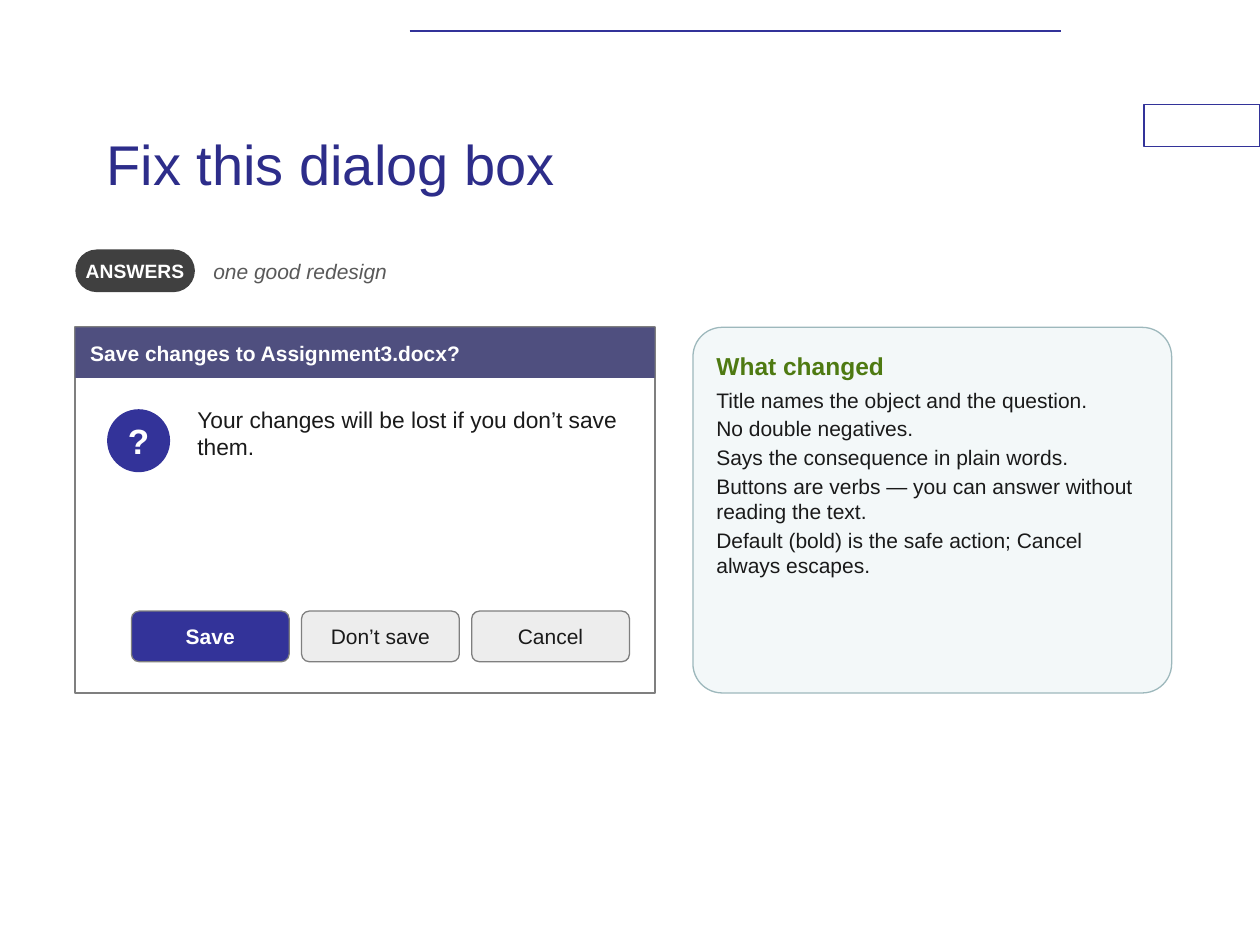
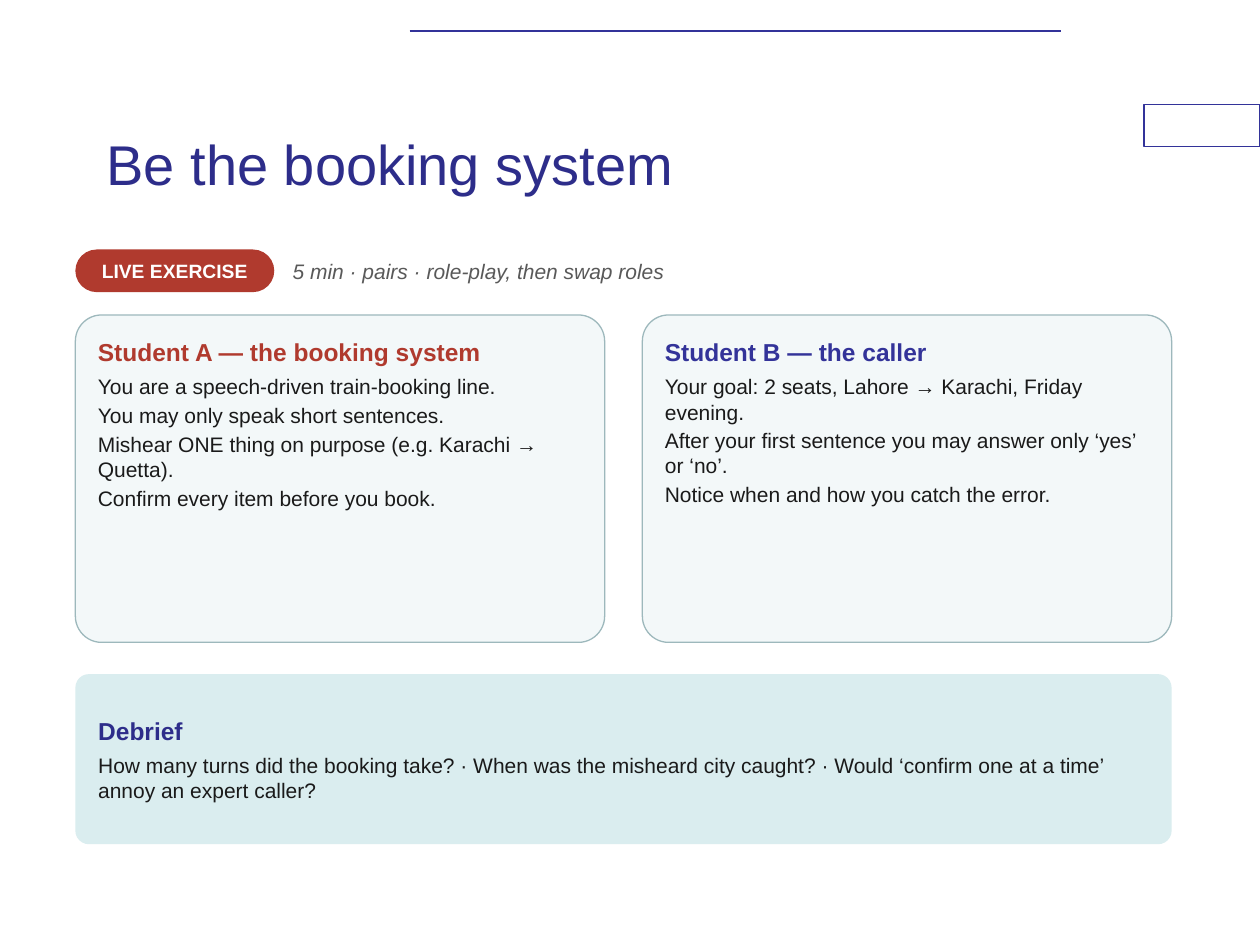
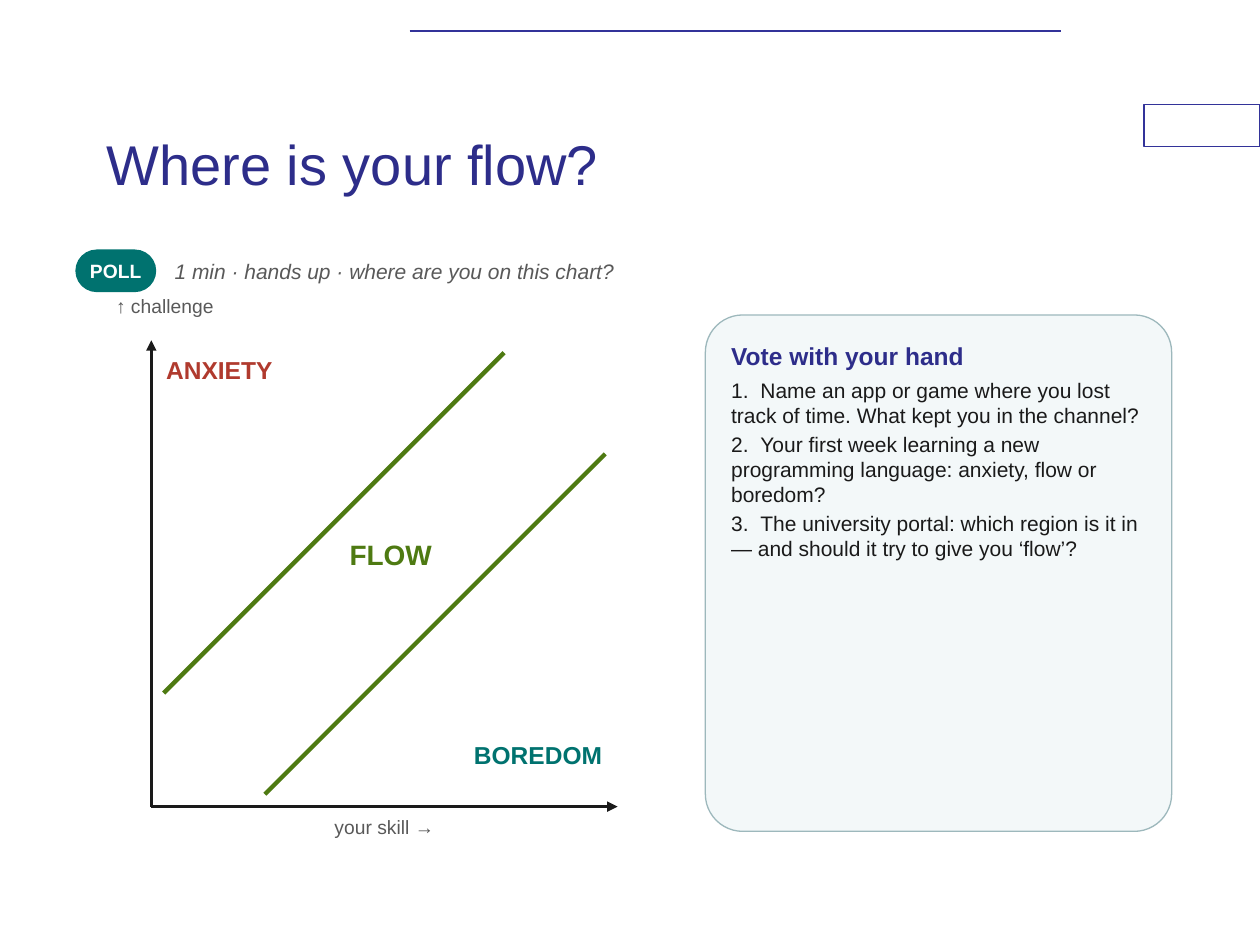
from dataclasses import dataclass

from lxml import etree
from pptx import Presentation
from pptx import util as u
from pptx.dml.color import RGBColor
from pptx.enum import shapes, text
from pptx.oxml import ns

COLORS = {
    "white": "FFFFFF", "ink": "1A1A1A", "muted": "595959", "indigo": "333399",
    "navy": "2D2D8A", "slate": "4F4F7F", "charcoal": "404040", "red": "B03A2E",
    "teal": "00726F", "green": "4E7A12", "card": "F3F8F9", "card_edge": "9DB8BC",
    "aqua": "DAEDEF", "grey": "7F7F7F", "button": "EDEDED",
}
FONT = "Arial"
STYLES = {
    "title": {"size": u.Pt(32)},
    "heading": {"size": u.Pt(14), "bold": True},
    "body": {"size": u.Pt(12)},
    "strong": {"size": u.Pt(12), "bold": True},
    "note": {"size": u.Pt(12), "italic": True},
    "tag": {"size": u.Pt(11), "bold": True},
    "axis": {"size": u.Pt(11)},
    "message": {"size": u.Pt(13)},
    "zone": {"size": u.Pt(16), "bold": True},
    "icon": {"size": u.Pt(20), "bold": True},
}
PRESET = shapes.MSO_SHAPE
LEFT, CENTER, RIGHT = text.PP_ALIGN.LEFT, text.PP_ALIGN.CENTER, text.PP_ALIGN.RIGHT
TOP, MIDDLE = text.MSO_ANCHOR.TOP, text.MSO_ANCHOR.MIDDLE
MARGIN, CONTENT_W = 1.52, 22.1
NUMBER_TAB = 0.59


@dataclass
class Box:
    """Position and size in centimetres."""
    x: float
    y: float
    w: float
    h: float

    def inner(self, dx, dy, w, h):
        return Box(self.x + dx, self.y + dy, w, h)

    def lengths(self):
        return [u.Cm(v) for v in (self.x, self.y, self.w, self.h)]


@dataclass
class Para:
    words: str
    style: str
    color: str = "ink"
    after: float = 0


def rgb(name):
    return RGBColor.from_string(COLORS[name])


# Basic parts
def write(shape, paras, align=LEFT, anchor=MIDDLE, inset=0.05):
    frame = shape.text_frame
    layout = {"word_wrap": True, "vertical_anchor": anchor}
    layout.update({f"margin_{side}": u.Cm(inset)
                   for side in ("left", "right", "top", "bottom")})
    for key, value in layout.items():
        setattr(frame, key, value)
    for i, para in enumerate(paras):
        line = frame.add_paragraph() if i else frame.paragraphs[0]
        if "\t" in para.words:
            tabs = etree.SubElement(line._p.get_or_add_pPr(), ns.qn("a:tabLst"))
            etree.SubElement(tabs, ns.qn("a:tab"), pos=str(u.Cm(NUMBER_TAB)), algn="l")
        line.alignment = align
        line.space_after = u.Pt(para.after)
        run = line.add_run()
        run.text = para.words
        for key, value in {"name": FONT, "bold": False, **STYLES[para.style]}.items():
            setattr(run.font, key, value)
        run.font.color.rgb = rgb(para.color)


def add_label(slide, box, para, **layout):
    write(slide.shapes.add_textbox(*box.lengths()), [para], **layout)


def add_block(slide, box, preset, fill, edge=None, edge_pt=0.75, corner=None):
    block = slide.shapes.add_shape(preset, *box.lengths())
    block.shadow.inherit = False
    block.fill.solid()
    block.fill.fore_color.rgb = rgb(fill)
    if edge:
        block.line.color.rgb = rgb(edge)
        block.line.width = u.Pt(edge_pt)
    else:
        block.line.fill.background()
    if corner is not None:
        block.adjustments[0] = corner
    return block


def add_line(slide, start, end, color, width, arrow=False):
    line = slide.shapes.add_connector(
        shapes.MSO_CONNECTOR.STRAIGHT, *[u.Cm(v) for v in (*start, *end)])
    line.line.color.rgb = rgb(color)
    line.line.width = u.Pt(width)
    if arrow:
        etree.SubElement(line.line._get_or_add_ln(), ns.qn("a:tailEnd"), type="triangle")
    etree.SubElement(line._element.spPr, ns.qn("a:effectLst"))


# Shared page: frame, title, activity tag with its note
def add_page(deck, title, tag, tag_color, tag_w, note):
    slide = deck.slides.add_slide(deck.slide_layouts[6])
    add_block(slide, Box(23.06, 2.11, 2.34, 0.85), PRESET.RECTANGLE, "white", "indigo")
    add_line(slide, (8.26, 0.63), (21.39, 0.63), "indigo", 1)
    add_label(slide, Box(1.9, 1.7, 19.05, 3.18), Para(title, "title", "navy"), inset=0.25)

    pill = Box(MARGIN, 5.03, tag_w, 0.86)
    write(add_block(slide, pill, PRESET.ROUNDED_RECTANGLE, tag_color, corner=0.5),
          [Para(tag, "tag", "white")], align=CENTER, inset=0.08)
    add_label(slide, pill.inner(tag_w + 0.32, 0, 15.24, pill.h), Para(note, "note", "muted"))
    return slide


def add_card(slide, box, heading, color, points):
    card = add_block(slide, box, PRESET.ROUNDED_RECTANGLE, "card", "card_edge", corner=0.08)
    write(card, [Para(heading, "heading", color, 4)]
          + [Para(point, "body", after=2) for point in points],
          anchor=TOP, inset=0.3)


def add_dialog(slide, box, question, message, buttons):
    add_block(slide, box, PRESET.RECTANGLE, "white", "grey", 1)
    # Title bar
    bar = add_block(slide, box.inner(0, 0, box.w, 1.02), PRESET.RECTANGLE, "slate")
    write(bar, [Para(question, "strong", "white")], inset=0.3)
    # Icon and message
    icon = add_block(slide, box.inner(0.64, 1.65, 1.27, 1.27), PRESET.OVAL, "indigo")
    write(icon, [Para("?", "icon", "white")], align=CENTER, inset=0)
    add_label(slide, box.inner(2.41, 1.52, 8.89, 3.3), Para(message, "message"), anchor=TOP)
    # Buttons, right aligned, the first one being the default
    width, height, gap = 3.18, 1.02, 0.25
    first = box.w - 0.51 - len(buttons) * (width + gap) + gap
    for i, caption in enumerate(buttons):
        fill, style, color = (("button", "body", "ink") if i
                              else ("indigo", "strong", "white"))
        place = box.inner(first + i * (width + gap), box.h - 0.63 - height, width, height)
        button = add_block(slide, place, PRESET.ROUNDED_RECTANGLE, fill, "grey", corner=0.15)
        write(button, [Para(caption, style, color)], align=CENTER)


def add_debrief(slide, box, questions):
    panel = add_block(slide, box, PRESET.ROUNDED_RECTANGLE, "aqua", corner=0.08)
    write(panel, [Para("Debrief", "heading", "navy", 4),
                  Para(" · ".join(questions), "body")], inset=0.38)


def add_flow_chart(slide, box):
    base = box.y + box.h
    # Axes
    for end in ((box.x + box.w, base), (box.x, box.y)):
        add_line(slide, (box.x, base), end, "ink", 1.5, arrow=True)
    add_label(slide, box.inner(0, box.h + 0.13, box.w, 0.76),
              Para("your skill →", "axis", "muted"), align=CENTER, anchor=TOP)
    add_label(slide, box.inner(-0.76, -0.97, 4.06, 0.76),
              Para("↑ challenge", "axis", "muted"), anchor=TOP)
    # Channel edges, both at 45 degrees
    rise = 6.86
    for dx, dy in ((0.25, 2.29), (2.29, 0.25)):
        add_line(slide, (box.x + dx, base - dy),
                 (box.x + dx + rise, base - dy - rise), "green", 2.5)
    # Regions
    for words, style, color, place, align, anchor in (
            ("FLOW", "zone", "green", (3.3, 3.81, 3.05, 1.02), CENTER, MIDDLE),
            ("ANXIETY", "heading", "red", (0.25, 0.25, 4.06, 1.02), LEFT, TOP),
            ("BOREDOM", "heading", "teal", (5.08, 8, 4.06, 1.02), RIGHT, TOP)):
        add_label(slide, box.inner(*place), Para(words, style, color),
                  align=align, anchor=anchor)


# Slides
def build_dialog_slide(deck):
    slide = add_page(deck, "Fix this dialog box", "ANSWERS", "charcoal", 2.41,
                     "one good redesign")
    add_dialog(slide, Box(MARGIN, 6.6, 11.68, 7.37), "Save changes to Assignment3.docx?",
               "Your changes will be lost if you don’t save them.",
               ["Save", "Don’t save", "Cancel"])
    add_card(slide, Box(13.97, 6.6, 9.65, 7.37), "What changed", "green", [
        "Title names the object and the question.",
        "No double negatives.",
        "Says the consequence in plain words.",
        "Buttons are verbs — you can answer without reading the text.",
        "Default (bold) is the safe action; Cancel always escapes.",
    ])


def build_role_play_slide(deck):
    slide = add_page(deck, "Be the booking system", "LIVE EXERCISE", "red", 4.01,
                     "5 min · pairs · role-play, then swap roles")
    gap = 0.76
    card_w = (CONTENT_W - gap) / 2
    roles = [
        ("Student A — the booking system", "red", [
            "You are a speech-driven train-booking line.",
            "You may only speak short sentences.",
            "Mishear ONE thing on purpose (e.g. Karachi → Quetta).",
            "Confirm every item before you book.",
        ]),
        ("Student B — the caller", "indigo", [
            "Your goal: 2 seats, Lahore → Karachi, Friday evening.",
            "After your first sentence you may answer only ‘yes’ or ‘no’.",
            "Notice when and how you catch the error.",
        ]),
    ]
    for i, role in enumerate(roles):
        add_card(slide, Box(MARGIN + i * (card_w + gap), 6.35, card_w, 6.6), *role)
    add_debrief(slide, Box(MARGIN, 13.59, CONTENT_W, 3.43), [
        "How many turns did the booking take?",
        "When was the misheard city caught?",
        "Would ‘confirm one at a time’ annoy an expert caller?",
    ])


def build_poll_slide(deck):
    slide = add_page(deck, "Where is your flow?", "POLL", "teal", 1.63,
                     "1 min · hands up · where are you on this chart?")
    add_flow_chart(slide, Box(3.05, 6.86, 9.4, 9.4))
    questions = [
        "Name an app or game where you lost track of time. What kept you in the channel?",
        "Your first week learning a new programming language: anxiety, flow or boredom?",
        "The university portal: which region is it in — and should it try to give you ‘flow’?",
    ]
    add_card(slide, Box(14.22, 6.35, 9.4, 10.41), "Vote with your hand", "navy",
             [f"{n}.\t{question}" for n, question in enumerate(questions, 1)])


def main():
    deck = Presentation()
    deck.slide_width, deck.slide_height = u.Cm(25.4), u.Cm(19.05)
    for build in (build_dialog_slide, build_role_play_slide, build_poll_slide):
        build(deck)
    deck.save("out.pptx")


if __name__ == "__main__":
    main()
